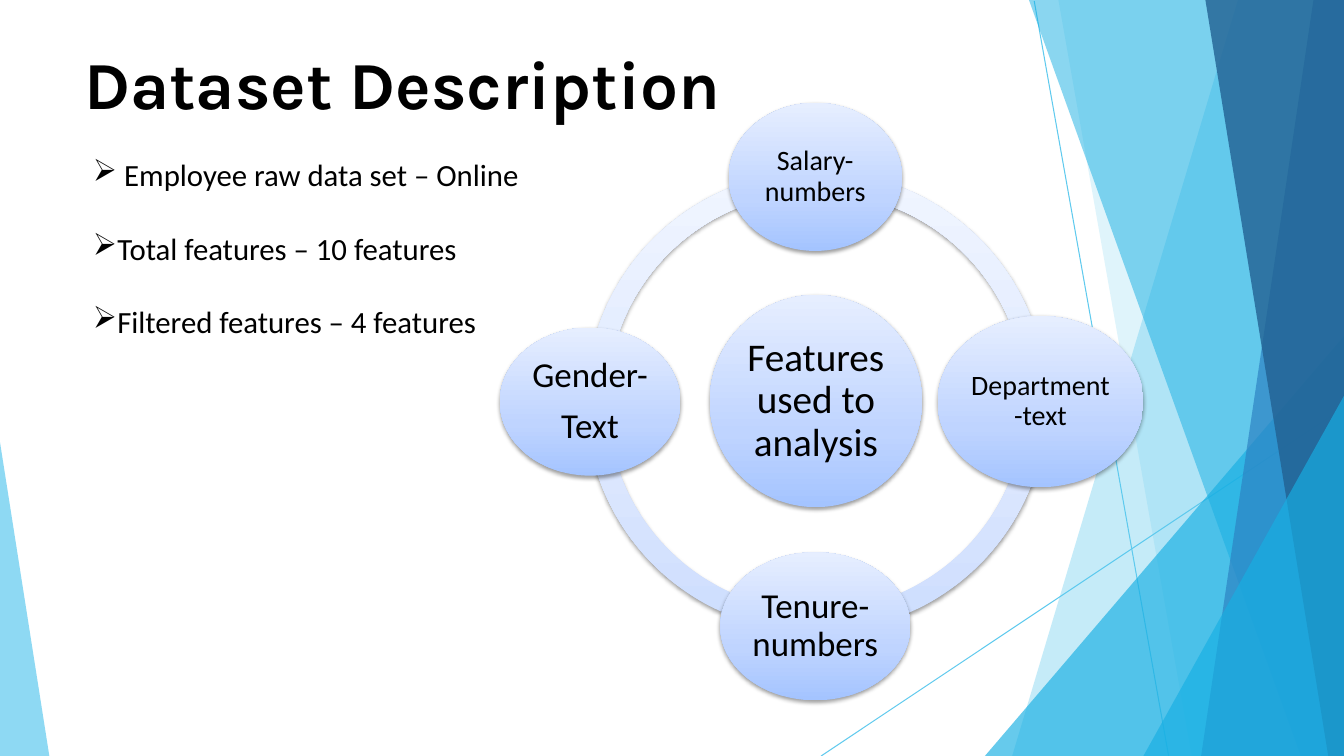
from typing import NamedTuple

from lxml import etree
from pptx import Presentation
from pptx.dml.color import RGBColor
from pptx.enum.shapes import MSO_CONNECTOR, MSO_SHAPE
from pptx.enum.text import MSO_ANCHOR, MSO_AUTO_SIZE, PP_ALIGN
from pptx.oxml import parse_xml
from pptx.oxml.ns import nsdecls, qn
from pptx.util import Emu, Pt

PX = 9525
WIDTH, HEIGHT = 1280, 720
TITLE_ONLY = 5
STRAIGHT = MSO_CONNECTOR.STRAIGHT
ARC, OVAL = MSO_SHAPE.BLOCK_ARC, MSO_SHAPE.OVAL
TOP, MIDDLE = MSO_ANCHOR.TOP, MSO_ANCHOR.MIDDLE
LEFT, CENTER = PP_ALIGN.LEFT, PP_ALIGN.CENTER
GROW = MSO_AUTO_SIZE.SHAPE_TO_FIT_TEXT

BLACK = RGBColor(0x00, 0x00, 0x00)
SKY = RGBColor(0x5F, 0xCA, 0xEE)
CYAN = RGBColor(0x17, 0xAF, 0xE3)
BLUE = RGBColor(0x2D, 0x83, 0xC3)
NAVY = RGBColor(0x22, 0x61, 0x92)
RING_STOPS = ((0, RGBColor(0xCD, 0xDD, 0xFE)), (35, RGBColor(0xDB, 0xE6, 0xFE)),
              (100, RGBColor(0xF0, 0xF5, 0xFF)))
NODE_STOPS = ((0, RGBColor(0xA4, 0xC4, 0xFF)), (35, RGBColor(0xBF, 0xD4, 0xFF)),
              (100, RGBColor(0xE6, 0xEE, 0xFF)))


class Facet(NamedTuple):
    points: tuple
    color: RGBColor
    opacity: int


class Node(NamedTuple):
    box: tuple
    size: int
    lines: tuple


def band(top: int, bottom: int, color: RGBColor, opacity: int) -> Facet:
    return Facet(((WIDTH, 0), (top, 0), (bottom, HEIGHT), (WIDTH, HEIGHT)), color, opacity)


def corner(top: int, left: int, color: RGBColor, opacity: int) -> Facet:
    return Facet(((WIDTH, top), (left, HEIGHT), (WIDTH, HEIGHT)), color, opacity)


RAYS = ((985, 1, 1113, HEIGHT), (WIDTH, 388, 782, HEIGHT))
FACETS = (
    band(1179, 964, SKY, 36),
    band(1008, 1135, SKY, 20),
    corner(320, 938, CYAN, 66),
    band(980, 1239, CYAN, 50),
    band(1251, 1144, BLUE, 70),
    band(1148, 1265, NAVY, 80),
    corner(377, 1089, CYAN, 66),
    Facet(((0, 421), (0, HEIGHT), (47, HEIGHT)), SKY, 70),
)
RING_BOX = (558, 163, 439, 439)
RING_THICKNESS = 0.046
QUARTER = 54
NODES = (
    Node((676, 281, 202, 202), 28, ("Features used to analysis",)),
    Node((694, 98, 165, 141), 20, ("Salary-numbers",)),
    Node((893, 301, 196, 163), 20, ("Department -text",)),
    Node((686, 526, 181, 141), 25, ("Tenure-numbers",)),
    Node((476, 312, 172, 141), 25, ("Gender-", "Text")),
)
BULLETS = (" Employee raw data set – Online", "Total features – 10 features",
           "Filtered features – 4 features")


def emu(values: tuple) -> list:
    return [Emu(v * PX) for v in values]


def set_margins(tf, inset: int) -> None:
    for side in ("left", "top", "right", "bottom"):
        setattr(tf, f"margin_{side}", Emu(inset * PX))


def write(p, text: str, face: str, size: int, bold: bool = False) -> None:
    r = p.add_run()
    r.text = text
    for name, value in {"name": face, "size": Pt(size), "bold": bold}.items():
        setattr(r.font, name, value)
    r.font.color.rgb = BLACK


def add_ray(slide, ray: tuple) -> None:
    s = slide.shapes.add_connector(STRAIGHT, *emu(ray))
    s.line.color.rgb = SKY
    s.line.width = Pt(0.75)
    etree.SubElement(s._element.spPr, qn("a:effectLst"))


def add_facet(slide, facet: Facet) -> None:
    builder = slide.shapes.build_freeform(*facet.points[0], scale=PX)
    builder.add_line_segments(facet.points[1:], close=True)
    s = builder.convert_to_shape()
    s.shadow.inherit = False
    s.line.fill.background()
    s.fill.solid()
    s.fill.fore_color.rgb = facet.color
    color = s._element.spPr.find(f"{qn('a:solidFill')}/{qn('a:srgbClr')}")
    etree.SubElement(color, qn("a:alpha"), val=str(facet.opacity * 1000))


def add_glossy(slide, kind, box: tuple, stops: tuple):
    s = slide.shapes.add_shape(kind, *emu(box))
    s.line.fill.background()
    s.shadow.inherit = False
    spPr = s._element.spPr
    gs = "".join(f'<a:gs pos="{pos * 1000}"><a:srgbClr val="{color}"/></a:gs>'
                 for pos, color in stops)
    spPr.find(qn("a:ln")).addprevious(parse_xml(
        f'<a:gradFill {nsdecls("a")} rotWithShape="1"><a:gsLst>{gs}</a:gsLst>'
        '<a:lin ang="16200000" scaled="0"/></a:gradFill>'))
    spPr.find(qn("a:effectLst")).append(parse_xml(
        f'<a:outerShdw {nsdecls("a")} blurRad="{Pt(3.1)}" dist="{Pt(1.6)}" dir="5400000" '
        'rotWithShape="0"><a:srgbClr val="000000"><a:alpha val="38000"/>'
        '</a:srgbClr></a:outerShdw>'))
    return s


def add_node(slide, node: Node) -> None:
    tf = add_glossy(slide, OVAL, node.box, NODE_STOPS).text_frame
    tf.word_wrap = True
    tf.vertical_anchor = MIDDLE
    set_margins(tf, 2)
    for i, line in enumerate(node.lines):
        p = tf.add_paragraph() if i else tf.paragraphs[0]
        for name, value in {"alignment": CENTER, "line_spacing": 0.9,
                            "space_after": Pt(node.size * 0.35)}.items():
            setattr(p, name, value)
        write(p, line, "Calibri", node.size)


def add_title(slide) -> None:
    s = slide.shapes.title
    s.left, s.top, s.width, s.height = emu((80, 40, 1121, 80))
    tf = s.text_frame
    set_margins(tf, 0)
    for name, value in {"word_wrap": True, "vertical_anchor": TOP, "auto_size": GROW}.items():
        setattr(tf, name, value)
    p = tf.paragraphs[0]
    p.alignment = LEFT
    write(p, "Dataset Description", "Karla", 48, True)


def add_bullets(slide) -> None:
    tf = slide.shapes.add_textbox(*emu((79, 144, 640, 187))).text_frame
    tf.word_wrap = True
    for i, text in enumerate(BULLETS):
        p = tf.add_paragraph() if i else tf.paragraphs[0]
        p.space_before = Pt(26 if i else 0)
        etree.SubElement(p._p.get_or_add_pPr(), qn("a:buChar"), char="➢")
        write(p, text, "Calibri", 22)


def main() -> None:
    prs = Presentation()
    prs.slide_width, prs.slide_height = emu((WIDTH, HEIGHT))
    slide = prs.slides.add_slide(prs.slide_layouts[TITLE_ONLY])
    for ray in RAYS:
        add_ray(slide, ray)
    for facet in FACETS:
        add_facet(slide, facet)
    add_title(slide)
    for i in (2, 1, 0, 3):
        s = add_glossy(slide, ARC, RING_BOX, RING_STOPS)
        s.adjustments[0] = i * QUARTER
        s.adjustments[1] = (i + 1) % 4 * QUARTER
        s.adjustments[2] = RING_THICKNESS
    for node in NODES:
        add_node(slide, node)
    add_bullets(slide)
    prs.save("out.pptx")


if __name__ == "__main__":
    main()
